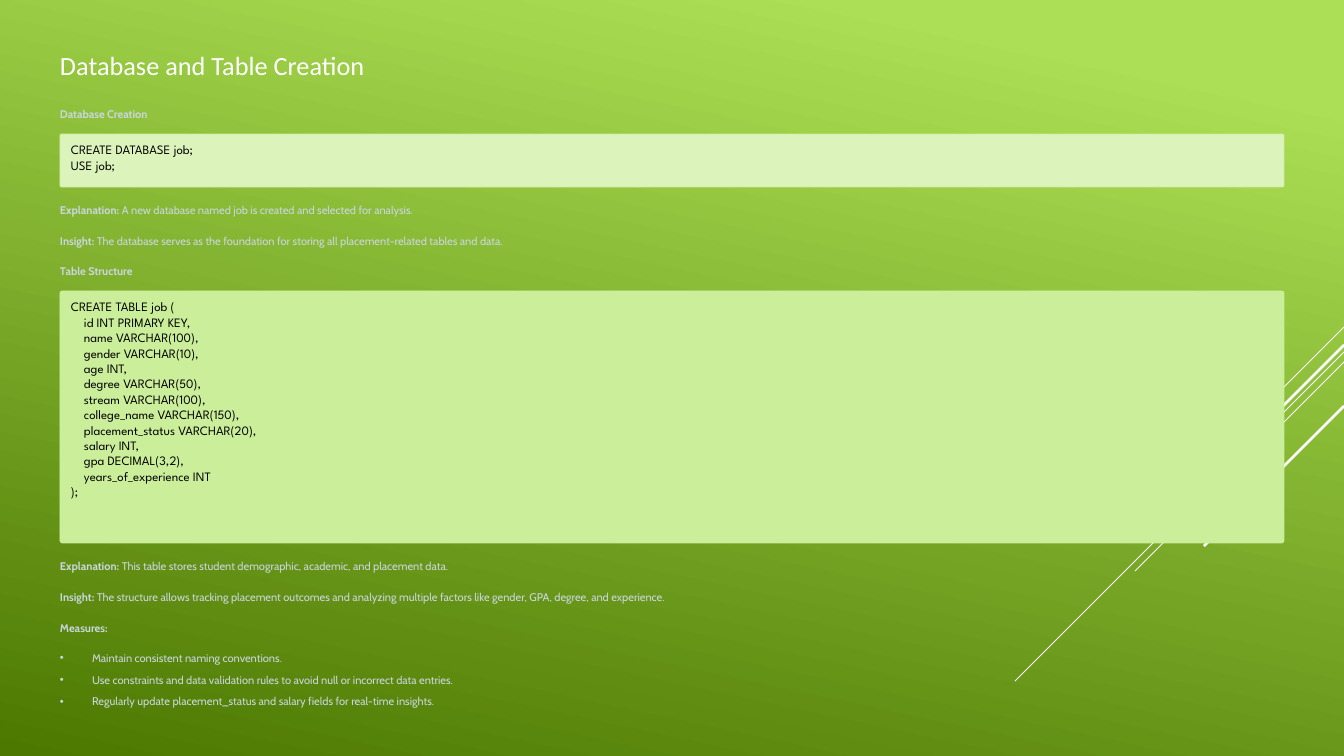
from pptx import Presentation
from pptx import util as u
from pptx.dml.color import RGBColor
from pptx.enum import shapes, text
from pptx.oxml import parse_xml
from pptx.oxml.ns import nsdecls

PX = u.Inches(1) / 84
WIDTH, HEIGHT = 1344, 756

WHITE = RGBColor(0xFF, 0xFF, 0xFF)
BLACK = RGBColor(0x00, 0x00, 0x00)
PALE_GREY = RGBColor(0xCA, 0xD6, 0xDE)
LIME = RGBColor(0xAC, 0xDF, 0x55)
DARK_GREEN = RGBColor(0x4C, 0x78, 0x00)
MINT = RGBColor(0xDD, 0xF3, 0xBC)
SOFT_GREEN = RGBColor(0xCB, 0xEE, 0x9A)

TITLE_FONT = {"name": "Calibri", "size": u.Pt(22.5), "bold": False}
NOTE_FONT = {"name": "Cabin", "size": u.Pt(9.5), "bold": False}
LABEL_FONT = {**NOTE_FONT, "bold": True}
CODE_FONT = {"name": "League Spartan", "size": u.Pt(11), "bold": False}
FRAME = {"margin_left": 0, "margin_top": 0, "margin_right": 0, "margin_bottom": 0,
         "word_wrap": True, "auto_size": text.MSO_AUTO_SIZE.NONE,
         "vertical_anchor": text.MSO_ANCHOR.TOP}
PARAGRAPH = {"alignment": text.PP_ALIGN.LEFT, "space_before": u.Pt(0)}
NOTE_PARAGRAPH = {**PARAGRAPH, "line_spacing": u.Pt(15)}

LEFT, CONTENT_WIDTH = 60, 1224
NOTE_HEIGHT, NOTE_PITCH = 18, 31
PANEL_GAP, CODE_INSET_X, CODE_INSET_Y = 12, 11, 8
CODE_INDENT, BULLET_INDENT = 13, 32

# Top at the right edge, length across, weight in points
STREAKS = [(327, 101, 0.75), (352, 329, 0.75), (362, 209, 0.75),
           (345, 193, 2.25), (406, 140, 2.25)]

DATABASE_CODE = ["CREATE DATABASE job;", "USE job;"]
TABLE_COLUMNS = ["id INT PRIMARY KEY,", "name VARCHAR(100),", "gender VARCHAR(10),",
                 "age INT,", "degree VARCHAR(50),", "stream VARCHAR(100),",
                 "college_name VARCHAR(150),", "placement_status VARCHAR(20),",
                 "salary INT,", "gpa DECIMAL(3,2),", "years_of_experience INT"]
DATABASE_NOTES = [
    ("Explanation:", " A new database named job is created and selected for analysis."),
    ("Insight:", " The database serves as the foundation for storing all "
                 "placement-related tables and data.")]
TABLE_NOTES = [
    ("Explanation:", " This table stores student demographic, academic, and placement data."),
    ("Insight:", " The structure allows tracking placement outcomes and analyzing multiple "
                 "factors like gender, GPA, degree, and experience.")]
MEASURES = [
    "Maintain consistent naming conventions.",
    "Use constraints and data validation rules to avoid null or incorrect data entries.",
    "Regularly update placement_status and salary fields for real-time insights."]


def px(*lengths):
    return [round(length * PX) for length in lengths]


def apply(target, values):
    for name, value in values.items():
        setattr(target, name, value)


def move(placeholder, box):
    apply(placeholder, dict(zip(("left", "top", "width", "height"), px(*box))))
    return placeholder.text_frame


def write(frame, lines, colour, paragraph_format):
    """Fill a frame; each line is a list of (words, font) runs."""
    apply(frame, FRAME)
    for i, runs in enumerate(lines):
        paragraph = frame.add_paragraph() if i else frame.paragraphs[0]
        apply(paragraph, paragraph_format)
        for words, font in runs:
            run = paragraph.add_run()
            run.text = words
            apply(run.font, font)
            run.font.color.rgb = colour


def indent(paragraph, margin, first_line=0):
    properties = paragraph._p.get_or_add_pPr()
    for name, length in (("marL", margin), ("indent", first_line)):
        properties.set(name, str(px(length)[0]))


def add_background(slide):
    fill = slide.background.fill
    fill.gradient()
    fill.gradient_angle = 258
    for stop, position, colour in zip(fill.gradient_stops, (0.1, 1), (LIME, DARK_GREEN)):
        stop.position = position
        stop.color.rgb = colour


def add_streaks(slide):
    for top, run, weight in STREAKS:
        streak = slide.shapes.add_connector(
            shapes.MSO_CONNECTOR.STRAIGHT, *px(WIDTH, top, WIDTH - run, top + run))
        streak.line.color.rgb = WHITE
        streak.line.width = u.Pt(weight)
        streak._element.spPr.append(parse_xml(f"<a:effectLst {nsdecls('a')}/>"))


def add_note(slide, top, label, words=""):
    box = slide.shapes.add_textbox(*px(LEFT, top, CONTENT_WIDTH, NOTE_HEIGHT))
    runs = [(label, LABEL_FONT)] + ([(words, NOTE_FONT)] if words else [])
    write(box.text_frame, [runs], PALE_GREY, NOTE_PARAGRAPH)


def add_code(slide, box, lines, indented, fill, rounding):
    left, top, width, height = box
    panel = slide.shapes.add_shape(shapes.MSO_SHAPE.ROUNDED_RECTANGLE, *px(*box))
    panel.adjustments[0] = rounding
    panel.shadow.inherit = False
    panel.fill.solid()
    panel.fill.fore_color.rgb = fill
    panel.line.color.rgb = SOFT_GREEN
    panel.line.width = u.Pt(0.75)
    code = slide.shapes.add_textbox(*px(
        left + CODE_INSET_X, top + CODE_INSET_Y,
        width - 2 * CODE_INSET_X, height - 2 * CODE_INSET_Y)).text_frame
    write(code, [[(line, CODE_FONT)] for line in lines], BLACK, PARAGRAPH)
    for paragraph in code.paragraphs:
        if paragraph.text in indented:
            indent(paragraph, CODE_INDENT)


def add_section(slide, top, height, heading, lines, indented, notes, fill, rounding):
    add_note(slide, top, heading)
    panel_top = top + NOTE_PITCH
    add_code(slide, (LEFT, panel_top, CONTENT_WIDTH, height), lines, indented, fill, rounding)
    for i, (label, words) in enumerate(notes):
        add_note(slide, panel_top + height + PANEL_GAP + i * NOTE_PITCH, label, words)


def add_measures(slide, top):
    add_note(slide, top, "Measures:")
    measures = move(slide.placeholders[1], (LEFT, top + 30, CONTENT_WIDTH, 62))
    write(measures, [[(item, NOTE_FONT)] for item in MEASURES], PALE_GREY,
          {**NOTE_PARAGRAPH, "space_after": u.Pt(3.7)})
    for paragraph in measures.paragraphs:
        indent(paragraph, BULLET_INDENT, -BULLET_INDENT)


def main():
    deck = Presentation()
    deck.slide_width, deck.slide_height = px(WIDTH, HEIGHT)
    slide = deck.slides.add_slide(deck.slide_layouts[1])

    # Backdrop
    add_background(slide)
    add_streaks(slide)

    # Title
    title = move(slide.shapes.title, (LEFT, 48, 461, 33))
    write(title, [[("Database and Table Creation", TITLE_FONT)]], WHITE,
          {**PARAGRAPH, "line_spacing": u.Pt(28)})

    # Sections
    add_section(slide, 103, 53, "Database Creation", DATABASE_CODE, [],
                DATABASE_NOTES, MINT, 0.03)
    add_section(slide, 260, 252, "Table Structure",
                ["CREATE TABLE job (", *TABLE_COLUMNS, ");"], TABLE_COLUMNS,
                TABLE_NOTES, SOFT_GREEN, 0.01)
    add_measures(slide, 617)

    deck.save("out.pptx")


if __name__ == "__main__":
    main()
